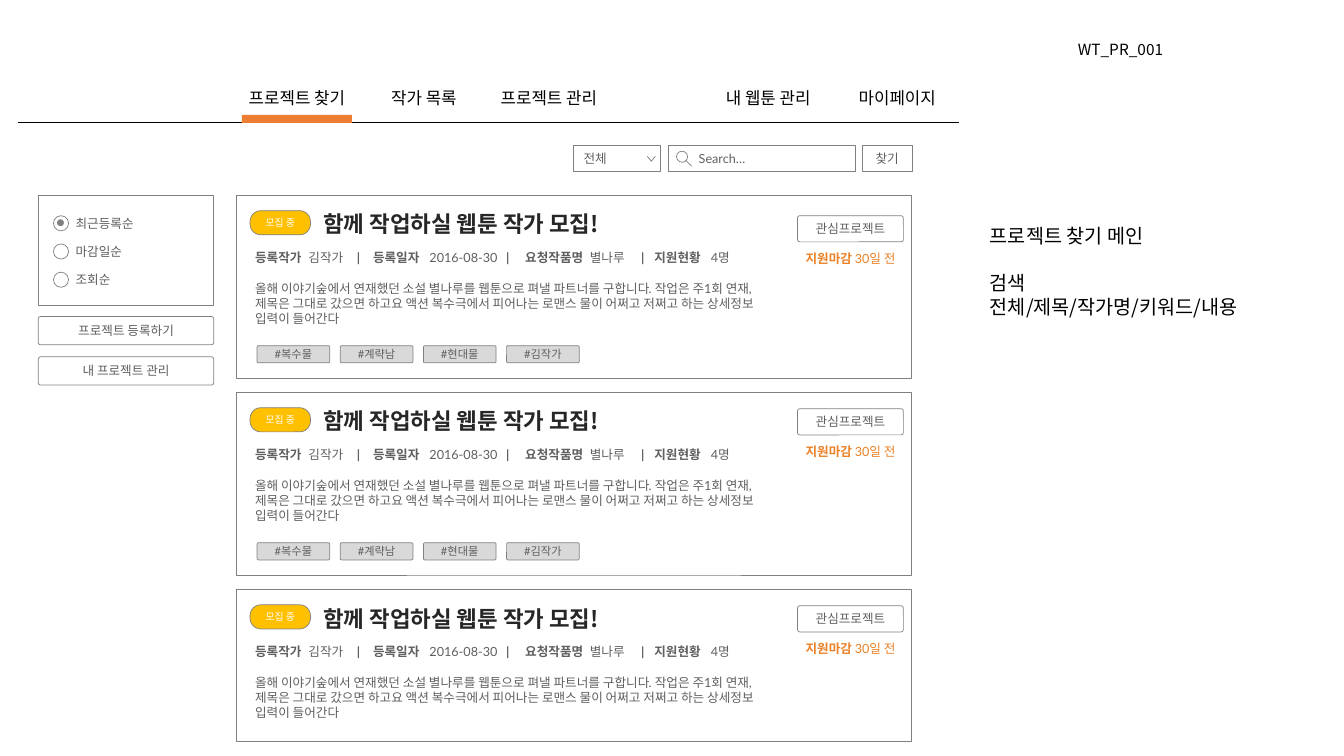
from lxml import etree
from pptx import Presentation
from pptx.dml.color import RGBColor
from pptx.enum.shapes import MSO_CONNECTOR, MSO_SHAPE
from pptx.enum.text import MSO_ANCHOR, PP_ALIGN
from pptx.oxml.ns import qn
from pptx.util import Inches, Pt

RECT, ROUND, OVAL = MSO_SHAPE.RECTANGLE, MSO_SHAPE.ROUNDED_RECTANGLE, MSO_SHAPE.OVAL
STRAIGHT = MSO_CONNECTOR.STRAIGHT
LEFT, CENTER = PP_ALIGN.LEFT, PP_ALIGN.CENTER
TOP, MIDDLE = MSO_ANCHOR.TOP, MSO_ANCHOR.MIDDLE
LATO, NOTO = "Lato", "Noto Sans CJK KR"
COLORS = {
    "black": "000000", "white": "FFFFFF", "title": "262626", "body": "5F5F5F",
    "outline": "808080", "tag": "D9D9D9", "badge": "FFC000",
    "deadline": "EB8025", "active": "ED7D31",
}

deck = Presentation()
deck.slide_width, deck.slide_height = Inches(13.33), Inches(7.5)
page = deck.slides.add_slide(deck.slide_layouts[5])
shapes = page.shapes


def add_panel(kind, left, top, width, height, fill=None, line="outline", corner=None):
    panel = shapes.add_shape(kind, Inches(left), Inches(top), Inches(width), Inches(height))
    panel.shadow.inherit = False
    if corner is not None:
        panel.adjustments[0] = corner
    if fill:
        panel.fill.solid()
        panel.fill.fore_color.rgb = RGBColor.from_string(COLORS[fill])
    else:
        panel.fill.background()
    if line:
        panel.line.color.rgb = RGBColor.from_string(COLORS[line])
        panel.line.width = Pt(0.5)
    else:
        panel.line.fill.background()
    return panel


def write(box, lines, size, font=LATO, color="body", align=CENTER, anchor=MIDDLE,
          insets=(0.1, 0.05, 0.1, 0.05), wrap=True):
    frame = box.text_frame
    frame.word_wrap = wrap
    frame.vertical_anchor = anchor
    frame.margin_left, frame.margin_top, frame.margin_right, frame.margin_bottom = map(Inches, insets)
    for index, pieces in enumerate(lines):
        para = frame.add_paragraph() if index else frame.paragraphs[0]
        para.alignment = align
        for position, piece in enumerate(pieces):
            span = para.add_run()
            span.text = piece
            span.font.size = Pt(size)
            span.font.name = font
            span.font.bold = len(pieces) > 1 and position % 2 == 0
            span.font.color.rgb = RGBColor.from_string(COLORS[color])
            etree.SubElement(span.font._element, qn("a:ea"), typeface=NOTO)
    return frame


screen_id = shapes.title
screen_id.left, screen_id.top = Inches(10.59), Inches(0.35)
screen_id.width, screen_id.height = Inches(2.59), Inches(0.29)
write(screen_id, [["WT_PR_001"]], 11, NOTO, "black", LEFT, TOP)

header_rule = shapes.add_connector(STRAIGHT, Inches(0.18), Inches(1.21), Inches(9.51), Inches(1.21))
header_rule.line.color.rgb = RGBColor.from_string(COLORS["black"])
header_rule.line.width = Pt(0.5)
add_panel(RECT, 2.4, 1.14, 1.09, 0.08, "active", None)
for label, left, width in [
    ("프로젝트 찾기", 2.3, 1.29), ("작가 목록", 3.74, 0.93), ("프로젝트 관리", 4.81, 1.27),
    ("내 웹툰 관리", 7.02, 1.2), ("마이페이지", 8.36, 1.08),
]:
    menu = shapes.add_textbox(Inches(left), Inches(0.82), Inches(width), Inches(0.3))
    write(menu, [[label]], 12, NOTO, "black", CENTER, TOP)

for label, left, width, align, inset_left, inset_right in [
    ("전체", 5.69, 0.86, LEFT, 0.1, 0.28),
    ("Search…", 6.63, 1.85, LEFT, 0.3, 0.1),
    ("찾기", 8.55, 0.5, CENTER, 0.1, 0.1),
]:
    field = add_panel(RECT, left, 1.44, width, 0.26, "white")
    write(field, [[label]], 9, align=align, insets=(inset_left, 0.06, inset_right, 0.06))

chevron_path = shapes.build_freeform(Inches(6.42), Inches(1.55))
chevron_path.add_line_segments(
    [(Inches(6.46), Inches(1.6)), (Inches(6.5), Inches(1.55))], close=False)
chevron = chevron_path.convert_to_shape()
chevron.shadow.inherit = False
chevron.fill.background()
add_panel(OVAL, 6.71, 1.5, 0.11, 0.11, "white")
handle = shapes.add_connector(STRAIGHT, Inches(6.8), Inches(1.59), Inches(6.86), Inches(1.65))
for icon in (chevron, handle):
    icon.line.color.rgb = RGBColor.from_string(COLORS["outline"])
    icon.line.width = Pt(0.5)
for connector in (header_rule, handle):
    etree.SubElement(connector._element.spPr, qn("a:effectLst"))

add_panel(RECT, 0.38, 1.94, 1.74, 1.09)
for row, label in enumerate(["최근등록순", "마감일순", "조회순"]):
    top = 2.14 + row * 0.28
    add_panel(OVAL, 0.53, top, 0.15, 0.15, "white")
    option = shapes.add_textbox(Inches(0.67), Inches(top - 0.04), Inches(0.79), Inches(0.23))
    write(option, [[label]], 9, align=LEFT, insets=(0.08, 0.04, 0.08, 0.04), wrap=False)
add_panel(OVAL, 0.57, 2.18, 0.06, 0.06, "outline")
for row, label in enumerate(["프로젝트 등록하기", "내 프로젝트 관리"]):
    button = add_panel(ROUND, 0.38, 3.14 + row * 0.4, 1.74, 0.28, "white", corner=0.08)
    write(button, [[label]], 9)

details = [
    "등록작가", "\t김작가", "\t|\t등록일자", "\t2016-08-30", "\t|\t요청작품명",
    "\t별나루", "\t|\t지원현황", "\t4명",
]
detail_stops = [0.53, 1.01, 1.17, 1.73, 2.49, 2.68, 3.32, 3.83, 3.96, 4.52]
summary = (
    "올해 이야기숲에서 연재했던 소설 별나루를 웹툰으로 펴낼 파트너를 구합니다. "
    "작업은 주1회 연재, 제목은 그대로 갔으면 하고요 액션 복수극에서 피어나는 "
    "로맨스 물이 어쩌고 저쩌고 하는 상세정보 입력이 들어간다"
)
tags = ["#복수물", "#계략남", "#현대물", "#김작가"]

for card, (height, button_offset, card_tags) in enumerate(
        [(1.81, 0.2, tags), (1.81, 0.16, tags), (1.51, 0.16, [])]):
    top = 1.94 + card * 1.955
    add_panel(RECT, 2.34, top, 6.7, height)

    badge = add_panel(ROUND, 2.48, top + 0.15, 0.6, 0.24, "badge", corner=0.45)
    write(badge, [["모집 중"]], 7, NOTO, "white")
    heading = shapes.add_textbox(Inches(3.11), Inches(top + 0.1), Inches(3.64), Inches(0.37))
    heading_frame = write(heading, [["함께 작업하실 웹툰 작가 모집!"]], 16, NOTO, "title", LEFT, TOP)
    heading_frame.paragraphs[0].runs[0].font.bold = True

    description = shapes.add_textbox(Inches(2.45), Inches(top + 0.5), Inches(5.44), Inches(0.84))
    description_frame = write(description, [details, [summary]], 9, align=LEFT, anchor=TOP,
                              insets=(0.08, 0.04, 0.08, 0.04))
    detail_para, summary_para = description_frame.paragraphs
    summary_para.space_before = Pt(11)
    tab_list = etree.SubElement(detail_para._p.get_or_add_pPr(), qn("a:tabLst"))
    for stop in detail_stops:
        etree.SubElement(tab_list, qn("a:tab"), pos=str(Inches(stop)), algn="l")

    favorite = add_panel(ROUND, 7.91, top + button_offset, 1.05, 0.26, "white", corner=0.09)
    write(favorite, [["관심프로젝트"]], 9)
    deadline = shapes.add_textbox(
        Inches(7.91), Inches(top + button_offset + 0.31), Inches(1.61), Inches(0.23))
    write(deadline, [["지원마감 ", "30일 전"]], 9, color="deadline", align=LEFT, anchor=TOP,
          insets=(0.08, 0.04, 0.08, 0.04))

    for column, label in enumerate(card_tags):
        tag = add_panel(ROUND, 2.55 + column * 0.825, top + 1.49, 0.72, 0.17, "tag", corner=0.08)
        write(tag, [[label]], 8)

notes = shapes.add_textbox(Inches(9.72), Inches(2.17), Inches(3.23), Inches(1.04))
notes_frame = write(notes, [["프로젝트 찾기 메인"], ["검색"], ["전체/제목/작가명/키워드/내용"]],
                    14, NOTO, "black", LEFT, TOP)
notes_frame.paragraphs[1].space_before = Pt(17)

deck.save("out.pptx")
